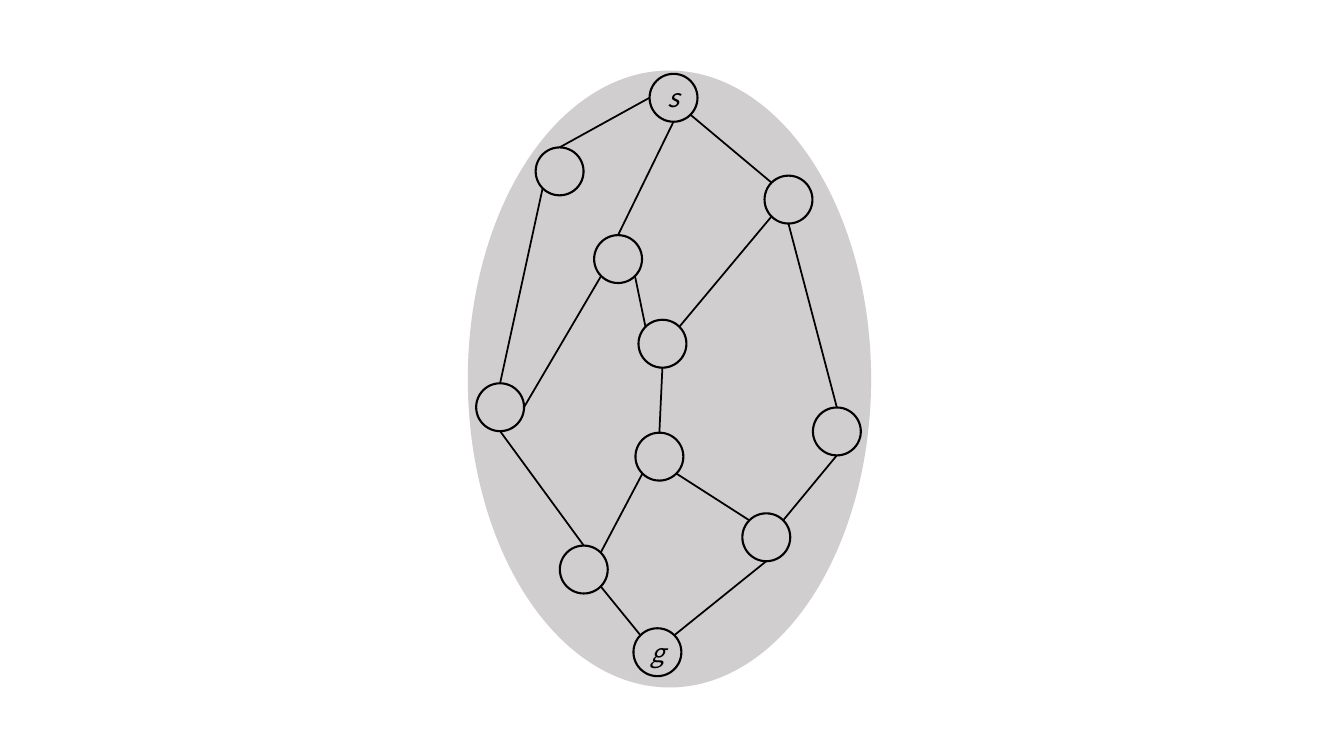
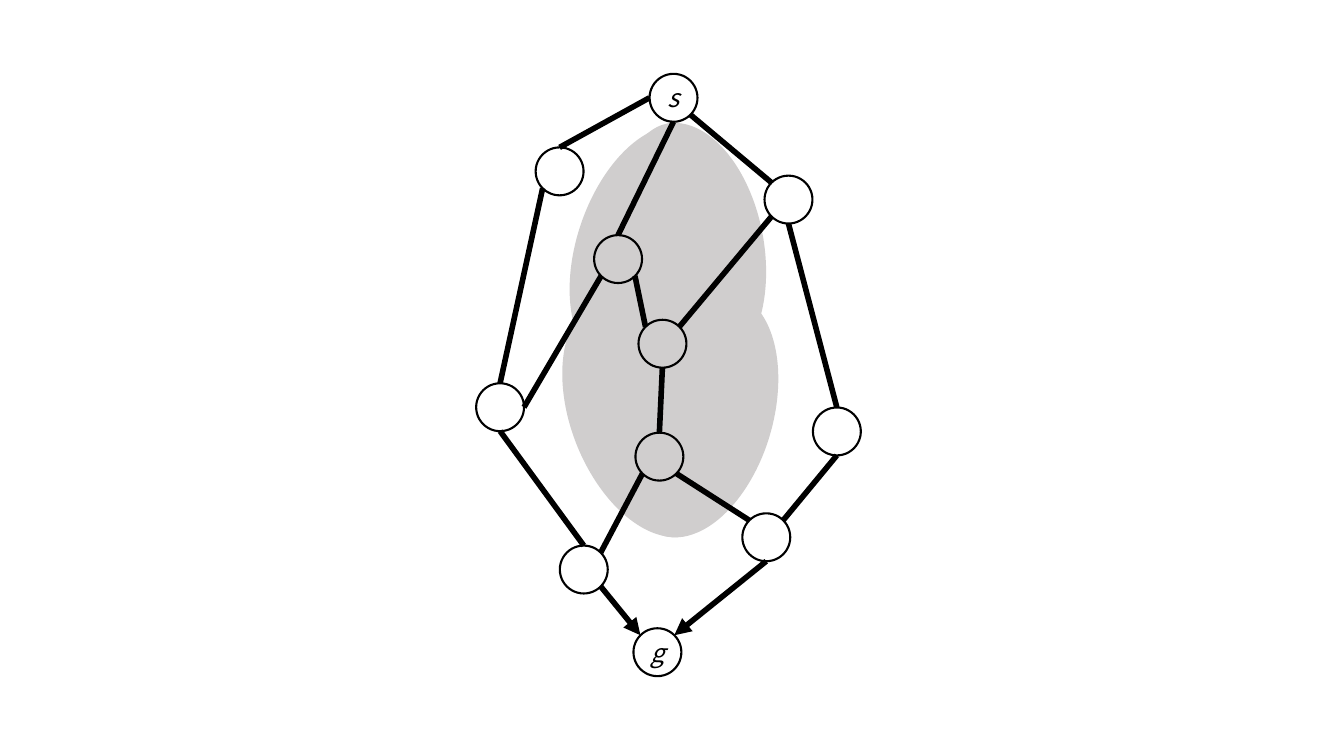
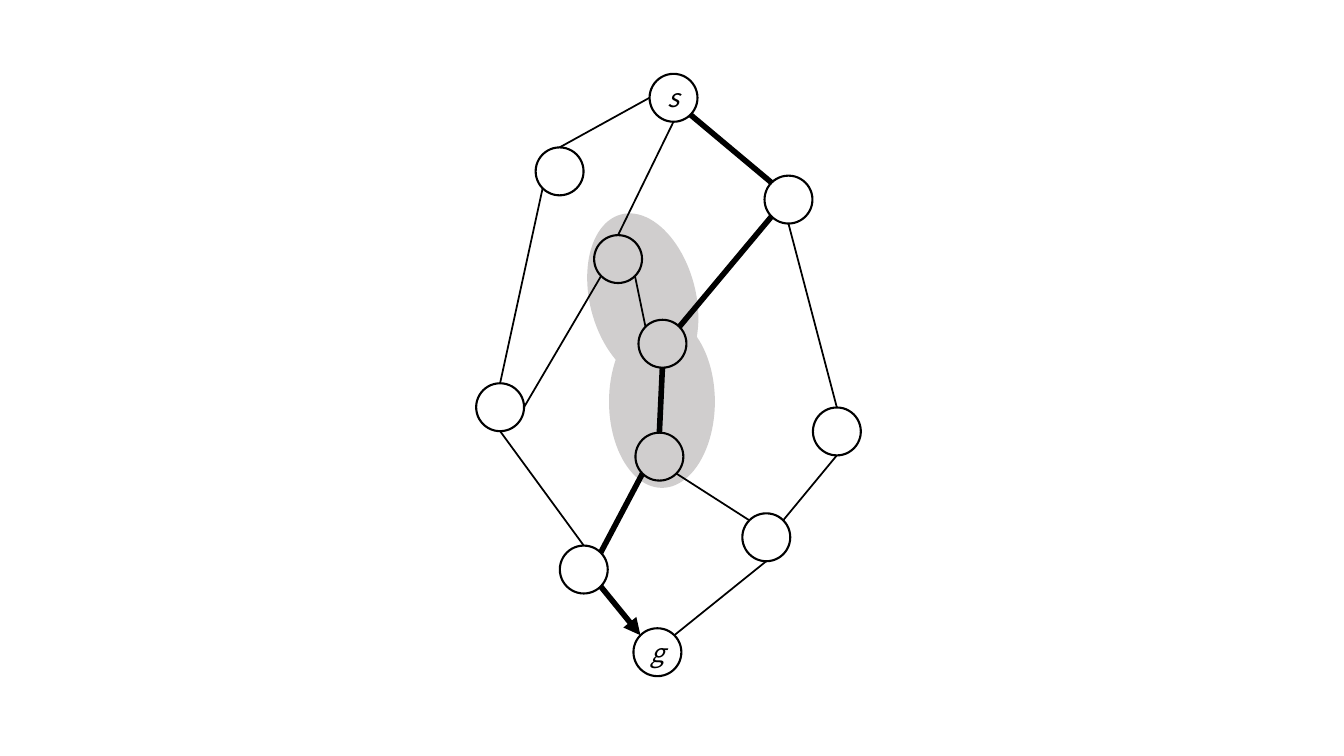
"""Three slides of one search graph, each with its own shaded region and path weights."""
import math
from lxml import etree
from pptx import Presentation
from pptx.dml.color import RGBColor
from pptx.enum import shapes, text
from pptx.oxml.ns import qn
from pptx.util import Inches, Pt

COLORS = {"ink": "000000", "region": "D0CECE"}
FONT = {"name": "Noto Sans CJK JP", "size": Pt(18), "italic": True}
NODE_SIZE, NODE_LINE = 0.475, 1.5
THIN, BOLD = 1.25, 4

NODES = {
    "g": (6.52, 6.47), "low right": (7.6, 5.33), "s": (6.68, 0.97),
    "left": (4.96, 4.04), "inner top": (6.13, 2.57), "up right": (7.82, 1.98),
    "up left": (5.55, 1.7), "low left": (5.79, 5.65), "inner low": (6.54, 4.53),
    "right": (8.3, 4.28), "inner mid": (6.57, 3.41),
}
LABELS = ("s", "g")
SIDES = ("E", "SE", "S", "SW", "W", "NW", "N", "NE")
EDGES = [
    ("low right", "S", "g", "NE"), ("s", "SE", "up right", "NW"),
    ("left", "S", "low left", "N"), ("up left", "SW", "left", "N"),
    ("low left", "SE", "g", "NW"), ("s", "W", "up left", "N"),
    ("s", "S", "inner top", "N"), ("inner mid", "S", "inner low", "N"),
    ("left", "E", "inner top", "SW"), ("inner mid", "NE", "up right", "SW"),
    ("low right", "NW", "inner low", "SE"), ("inner low", "SW", "low left", "NE"),
    ("right", "N", "up right", "S"), ("low right", "NE", "right", "S"),
    ("inner top", "SE", "inner mid", "NW"),
]
ALL_EDGES = {(a, b) for a, _, b, _ in EDGES}
BEST_PATH = {
    ("s", "up right"), ("inner mid", "up right"), ("inner mid", "inner low"),
    ("inner low", "low left"), ("low left", "g"),
}
SLIDES = [
    {"grouped": False, "bold": set(), "region": [("OVAL", 4.64, 0.7, 4, 6.12, 0)]},
    {"grouped": True, "bold": ALL_EDGES, "region": [
        ("MOON", 5.69, 3.01, 0.74, 2.51, 338.6),
        ("MOON", 6.91, 2.96, 0.74, 2.51, 196.5),
        ("MOON", 6.83, 1.14, 0.74, 2.51, 169.7),
        ("MOON", 5.74, 1.09, 0.71, 2.51, 18.5),
        ("OVAL", 5.86, 1.22, 1.64, 4.09, 0)]},
    {"grouped": True, "bold": BEST_PATH, "region": [
        ("OVAL", 6.04, 3.13, 1.05, 1.71, 0),
        ("OVAL", 5.85, 2.1, 1.05, 1.71, 345.5)]},
]


def color(name):
    return RGBColor.from_string(COLORS[name])


def add_preset(parent, kind, x, y, w, h):
    sp = parent.add_shape(shapes.MSO_SHAPE[kind], *map(Inches, (x, y, w, h)))
    sp.shadow.inherit = False
    return sp


def add_region(parent, kind, x, y, w, h, rotation):
    sp = add_preset(parent, kind, x, y, w, h)
    sp.rotation = rotation
    sp.fill.solid()
    sp.fill.fore_color.rgb = color("region")
    sp.line.fill.background()


def add_node(parent, name):
    x, y = (c - NODE_SIZE / 2 for c in NODES[name])
    sp = add_preset(parent, "OVAL", x, y, NODE_SIZE, NODE_SIZE)
    sp.fill.background()
    sp.line.color.rgb = color("ink")
    sp.line.width = Pt(NODE_LINE)
    if name in LABELS:
        tf = sp.text_frame
        tf.vertical_anchor = text.MSO_ANCHOR.MIDDLE
        p = tf.paragraphs[0]
        p.alignment = text.PP_ALIGN.CENTER
        r = p.add_run()
        r.text = name
        for key, value in FONT.items():
            setattr(r.font, key, value)
        r.font.color.rgb = color("ink")


def rim_point(name, side):
    angle = SIDES.index(side) * math.pi / 4
    x, y = NODES[name]
    radius = NODE_SIZE / 2
    return Inches(x + radius * math.cos(angle)), Inches(y + radius * math.sin(angle))


def add_edge(parent, start, start_side, end, end_side, bold):
    cx = parent.add_connector(shapes.MSO_CONNECTOR.STRAIGHT,
                              *rim_point(start, start_side), *rim_point(end, end_side))
    cx.line.color.rgb = color("ink")
    cx.line.width = Pt(BOLD if bold else THIN)
    if bold and end == "g":
        etree.SubElement(cx.line._get_or_add_ln(), qn("a:tailEnd"), type="triangle")
    etree.SubElement(cx._element.spPr, qn("a:effectLst"))


prs = Presentation()
prs.slide_width, prs.slide_height = Inches(13.33), Inches(7.5)
for content in SLIDES:
    s = prs.slides.add_slide(prs.slide_layouts[6])
    parent = s.shapes.add_group_shape().shapes if content["grouped"] else s.shapes
    for part in content["region"]:
        add_region(parent, *part)
    for name in NODES:
        add_node(parent, name)
    for edge in EDGES:
        add_edge(parent, *edge, (edge[0], edge[2]) in content["bold"])
prs.save("out.pptx")
